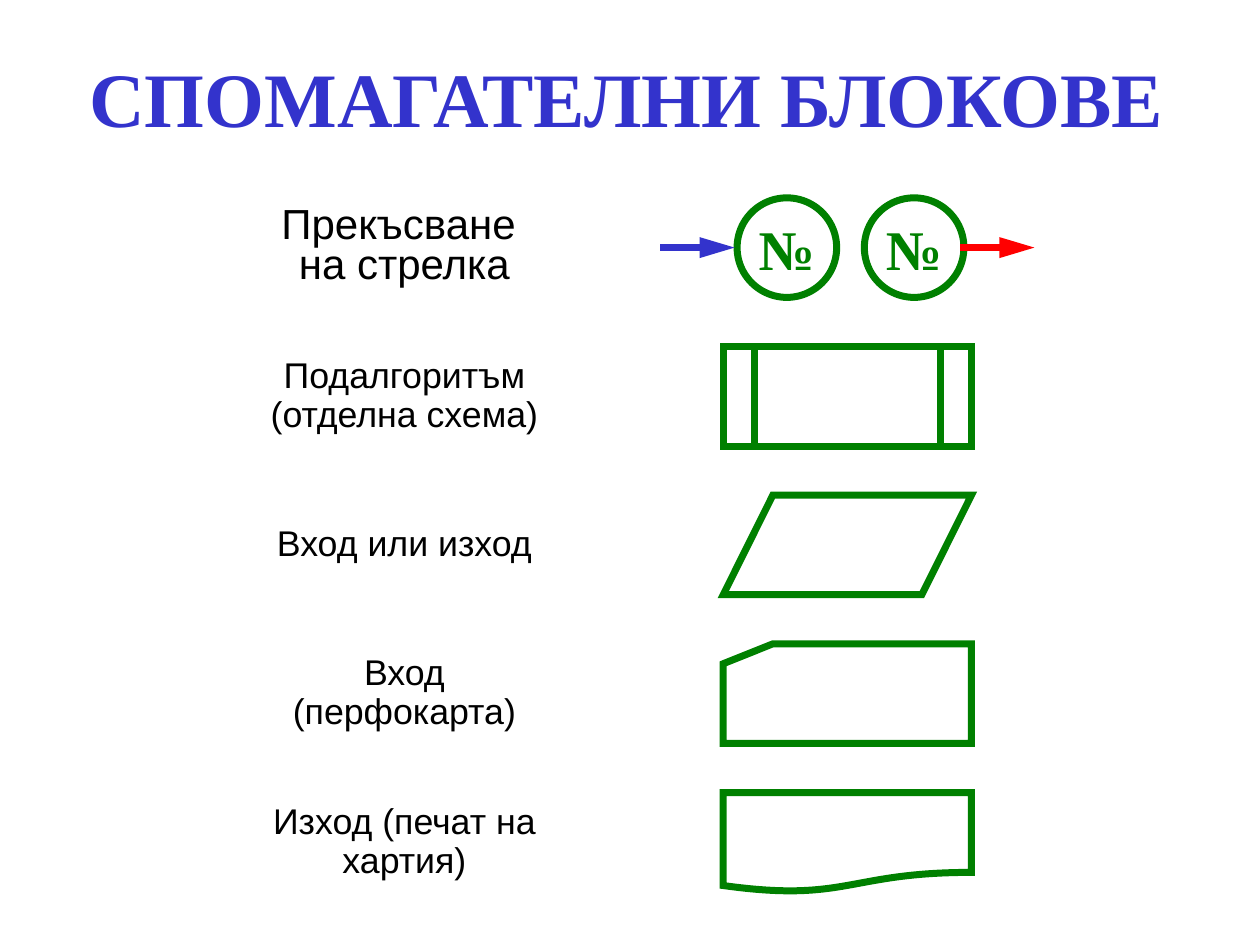
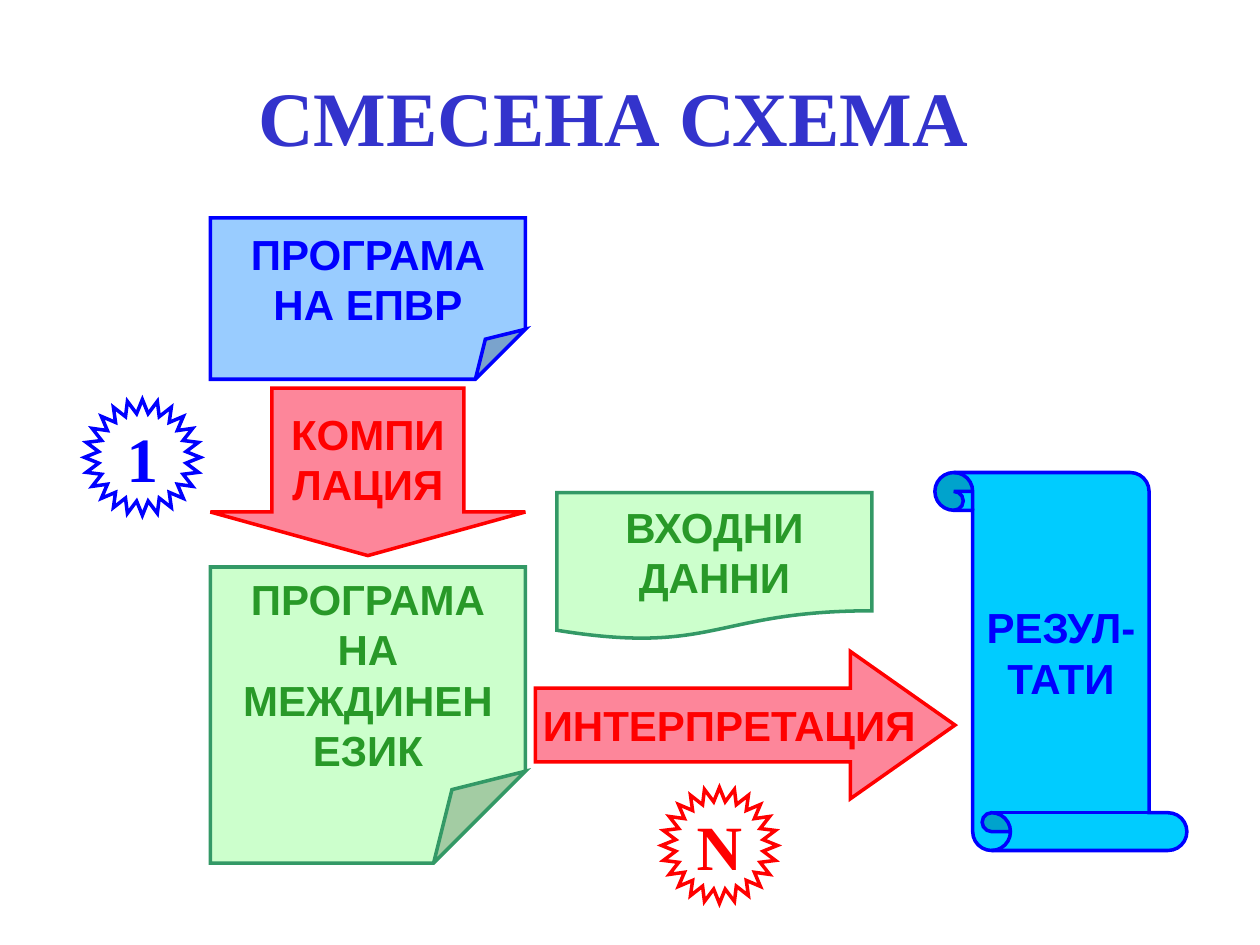
from dataclasses import dataclass
from math import cos, pi, sin

from lxml.etree import SubElement
from pptx import Presentation
from pptx.dml.color import RGBColor
from pptx.enum.shapes import MSO_CONNECTOR as Connector, MSO_SHAPE as Preset
from pptx.enum.text import MSO_ANCHOR as Anchor, MSO_AUTO_SIZE as AutoSize, PP_ALIGN as Align
from pptx.oxml.ns import qn
from pptx.util import Inches, Pt

SANS, SERIF = "Arial", "Times New Roman"
BLACK, TITLE_BLUE, GREEN = "000000", "3333CC", "008000"
BLUE, RED, ROSE = "0000FF", "FF0000", "FC0E36"
SKY, CYAN = "99CCFF", "00CCFF"
MINT, SEA_GREEN, LEAF = "CCFFCC", "339966", "289928"

FIRST_ROW, ROW_STEP, ROW_HEIGHT = 1.57, 1.18, 0.79
LABEL_CENTRE = 3.21
SYMBOL_LEFT, SYMBOL_WIDTH = 5.74, 1.97
STAR_POINTS, STAR_RADIUS, STAR_INNER = 24, 0.46, 0.35


@dataclass(frozen=True)
class TextStyle:
    size: float
    color: str
    font: str = SANS
    bold: bool = True
    spacing: float = 1.0


@dataclass(frozen=True)
class Row:
    label: str
    preset: Preset | None = None
    label_width: float = 2.36
    size: float = 20.4
    spacing: float = 0.9


@dataclass(frozen=True)
class Node:
    preset: Preset
    left: float
    top: float
    width: float
    height: float
    text: str
    fill: str
    line: str
    color: str
    adjustments: tuple[float, ...] = ()
    opacity: int = 100
    inset_left: float = 0.1
    inset_top: float = 0.05
    wrap: bool = True
    inverted: bool = False


@dataclass(frozen=True)
class Star:
    center_x: float
    center_y: float
    text: str
    color: str


ROWS = (
    Row("Прекъсване \vна стрелка", size=24, spacing=0.8),
    Row("Подалгоритъм (отделна схема)", Preset.FLOWCHART_PREDEFINED_PROCESS, 2.76),
    Row("Вход или изход", Preset.FLOWCHART_DATA),
    Row("Вход (перфокарта)", Preset.FLOWCHART_CARD),
    Row("Изход (печат на хартия)", Preset.FLOWCHART_DOCUMENT),
)

NODES = (
    Node(Preset.FOLDED_CORNER, 1.67, 1.73, 2.5, 1.28, "ПРОГРАМА НА ЕПВР",
         SKY, BLUE, BLUE, (0.31,), inset_top=0.13),
    Node(Preset.FOLDED_CORNER, 1.67, 4.5, 2.5, 2.35, "ПРОГРАМА НА МЕЖДИНЕН ЕЗИК",
         MINT, SEA_GREEN, LEAF, (0.31,), inset_top=0.13),
    Node(Preset.DOWN_ARROW, 1.67, 3.08, 2.5, 1.33, "КОМПИЛАЦИЯ",
         ROSE, RED, RED, (0.61, 0.26), opacity=50),
    Node(Preset.RIGHT_ARROW, 4.25, 5.17, 3.33, 1.17, "ИНТЕРПРЕТАЦИЯ",
         ROSE, RED, RED, (0.5, 0.71), opacity=50, inset_left=0.26, wrap=False),
    Node(Preset.FLOWCHART_DOCUMENT, 4.42, 3.91, 2.5, 1.17, "ВХОДНИ ДАННИ",
         MINT, SEA_GREEN, LEAF),
    Node(Preset.VERTICAL_SCROLL, 7.42, 3.75, 2, 3, "РЕЗУЛ-ТАТИ",
         CYAN, BLUE, BLUE, (0.15,), inverted=True),
)

STARS = (Star(1.13, 3.63, "1", BLUE), Star(5.71, 6.71, "N", RED))


def rgb(color: str) -> RGBColor:
    return RGBColor.from_string(color)


def write(shape, text: str, style: TextStyle, wrap: bool = True) -> None:
    frame = shape.text_frame
    frame.text = text
    frame.auto_size = AutoSize.NONE
    frame.word_wrap = wrap
    frame.vertical_anchor = Anchor.MIDDLE
    for para in frame.paragraphs:
        para.alignment = Align.CENTER
        para.line_spacing = style.spacing
        for span in para.runs:
            span.font.name = style.font
            span.font.size = Pt(style.size)
            span.font.bold = style.bold
            span.font.color.rgb = rgb(style.color)


def paint(shape, line: str, weight: float, fill: str | None = None, opacity: int = 100) -> None:
    shape.shadow.inherit = False
    shape.line.color.rgb = rgb(line)
    shape.line.width = Pt(weight)
    SubElement(shape.line._get_or_add_ln(), qn("a:miter"), lim="800000")
    if fill is None:
        shape.fill.background()
        return
    shape.fill.solid()
    shape.fill.fore_color.rgb = rgb(fill)
    if opacity < 100:
        color = shape._element.spPr.find(qn("a:solidFill")).find(qn("a:srgbClr"))
        SubElement(color, qn("a:alpha"), val=str(opacity * 1000))


def adjust(shape, values: tuple[float, ...]) -> None:
    geometry = shape._element.spPr.find(qn("a:prstGeom"))
    for guides in geometry.findall(qn("a:avLst")):
        geometry.remove(guides)
    guides = SubElement(geometry, qn("a:avLst"))
    names = ("adj",) if len(values) == 1 else ("adj1", "adj2")
    for name, value in zip(names, values):
        SubElement(guides, qn("a:gd"), name=name, fmla=f"val {round(value * 100000)}")


def add_preset(page, preset: Preset, left: float, top: float, width: float, height: float):
    return page.shapes.add_shape(preset, Inches(left), Inches(top), Inches(width), Inches(height))


def add_page(deck, title: str, left: float, top: float, width: float, height: float):
    page = deck.slides.add_slide(deck.slide_layouts[5])
    box = page.shapes.title
    box.left, box.top = Inches(left), Inches(top)
    box.width, box.height = Inches(width), Inches(height)
    write(box, title, TextStyle(44, TITLE_BLUE, SERIF))
    return page


def add_row(page, row: Row, top: float) -> None:
    box = page.shapes.add_textbox(Inches(LABEL_CENTRE - row.label_width / 2), Inches(top),
                                  Inches(row.label_width), Inches(ROW_HEIGHT))
    write(box, row.label, TextStyle(row.size, BLACK, bold=False, spacing=row.spacing))
    if row.preset is not None:
        symbol = add_preset(page, row.preset, SYMBOL_LEFT, top, SYMBOL_WIDTH, ROW_HEIGHT)
        paint(symbol, GREEN, 4)


def add_break(page, circle_left: float, arrow_left: float, arrow_color: str) -> None:
    circle = add_preset(page, Preset.FLOWCHART_CONNECTOR, circle_left, FIRST_ROW,
                        ROW_HEIGHT, ROW_HEIGHT)
    paint(circle, GREEN, 4)
    write(circle, "№", TextStyle(32, GREEN, SERIF), wrap=False)
    middle = Inches(FIRST_ROW + ROW_HEIGHT / 2)
    arrow = page.shapes.add_connector(Connector.STRAIGHT, Inches(arrow_left), middle,
                                      Inches(arrow_left + 0.59), middle)
    arrow.line.color.rgb = rgb(arrow_color)
    arrow.line.width = Pt(4)
    SubElement(arrow.line._get_or_add_ln(), qn("a:tailEnd"), type="triangle", w="med", len="lg")
    SubElement(arrow._element.spPr, qn("a:effectLst"))


def add_node(page, node: Node) -> None:
    shape = add_preset(page, node.preset, node.left, node.top, node.width, node.height)
    if node.adjustments:
        adjust(shape, node.adjustments)
    paint(shape, node.line, 2, node.fill, node.opacity)
    write(shape, node.text, TextStyle(24, node.color), node.wrap)
    shape.text_frame.margin_left = Inches(node.inset_left)
    shape.text_frame.margin_top = Inches(node.inset_top)
    if node.inverted:
        shape.rotation = 180
        shape._element.spPr.find(qn("a:xfrm")).set("flipH", "1")
        shape.text_frame._txBody.find(qn("a:bodyPr")).set("rot", str(180 * 60000))


def add_star(page, star: Star) -> None:
    points = []
    for index in range(2 * STAR_POINTS):
        radius = STAR_INNER if index % 2 else STAR_RADIUS
        angle = pi - index * pi / STAR_POINTS
        points.append((Inches(star.center_x + radius * cos(angle)),
                       Inches(star.center_y + radius * sin(angle))))
    builder = page.shapes.build_freeform(*points[0])
    builder.add_line_segments(points[1:], close=True)
    shape = builder.convert_to_shape()
    paint(shape, star.color, 2)
    write(shape, star.text, TextStyle(36, star.color, SERIF), wrap=False)


def build_auxiliary_blocks(deck) -> None:
    page = add_page(deck, "СПОМАГАТЕЛНИ БЛОКОВЕ", 0.47, 0.39, 9.01, 0.75)
    for index, row in enumerate(ROWS):
        add_row(page, row, FIRST_ROW + index * ROW_STEP)
    add_break(page, 5.85, 5.24, TITLE_BLUE)
    add_break(page, 6.86, 7.62, RED)


def build_mixed_scheme(deck) -> None:
    page = add_page(deck, "СМЕСЕНА СХЕМА", 0.58, 0.33, 8.58, 1.17)
    for node in NODES:
        add_node(page, node)
    for star in STARS:
        add_star(page, star)


def main() -> None:
    deck = Presentation()
    deck.slide_width, deck.slide_height = Inches(10), Inches(7.5)
    build_auxiliary_blocks(deck)
    build_mixed_scheme(deck)
    deck.save("out.pptx")


if __name__ == "__main__":
    main()
